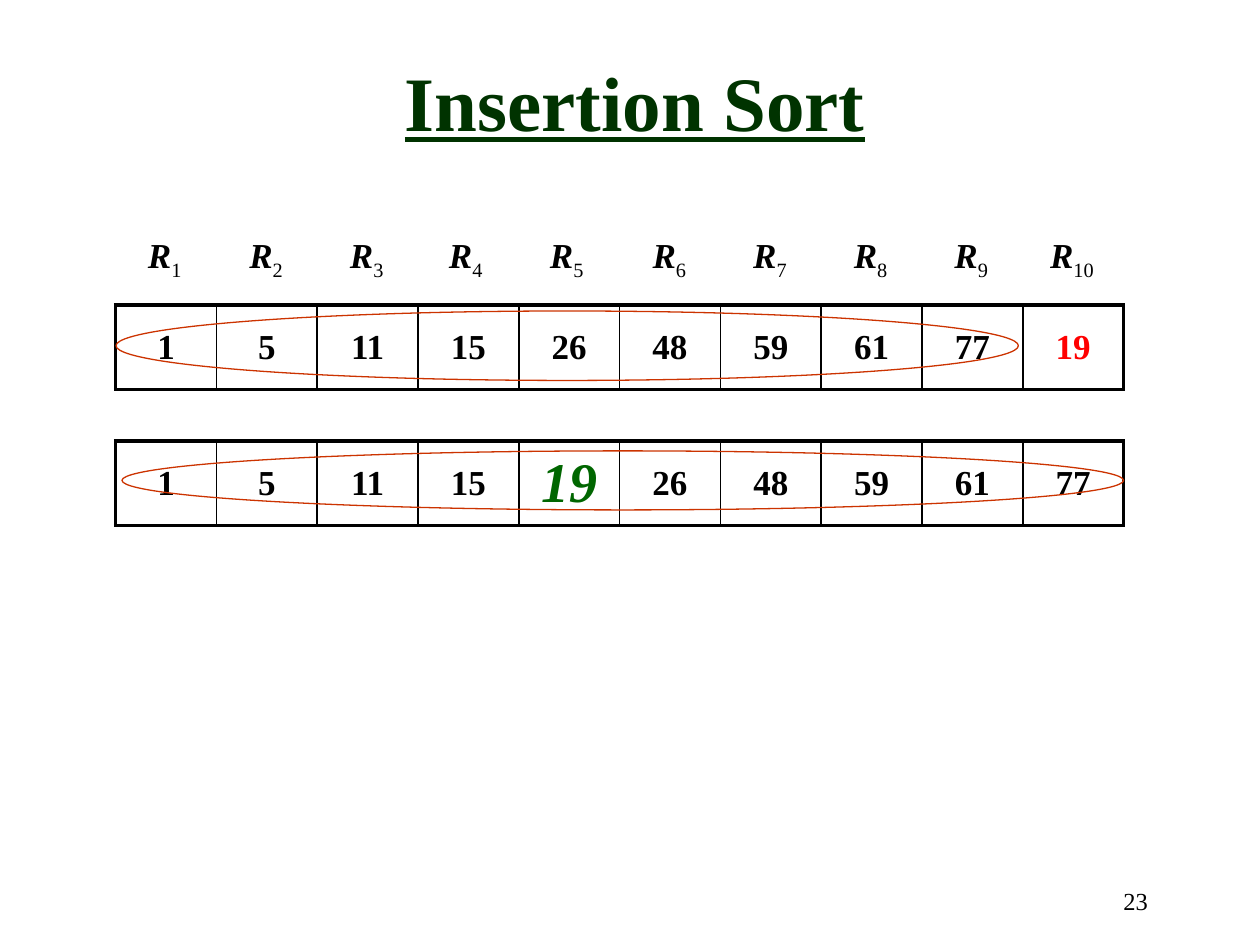
from lxml import etree
from pptx import Presentation
from pptx import util as u
from pptx.dml.color import RGBColor
from pptx.enum import shapes, text
from pptx.oxml import ns

COLORS = {
    "title": "003300",
    "ink": "000000",
    "next": "FF0000",
    "inserted": "006600",
    "ring": "CC3300",
}
FONT = "Times New Roman"
THIN, THICK = 1, 2.25
TABLE_LEFT, TABLE_WIDTH, ROW_HEIGHT = 2.33, 20.32, 1.7
LABEL_WIDTHS = [2.06, 2.03, 2.03, 1.96, 2.11, 2.03, 2.03, 2.03, 2.03, 2.03]


def style_font(font, size, color="ink", bold=False, italic=False):
    font.name = FONT
    font.size = u.Pt(size)
    font.bold = bold
    font.italic = italic
    font.color.rgb = RGBColor.from_string(COLORS[color])


def set_borders(cell, widths):
    """Draw the left, right, top and bottom borders; width 0 means none."""
    properties = cell._tc.get_or_add_tcPr()
    for side, width in zip("LRTB", widths):
        line = etree.SubElement(properties, ns.qn(f"a:ln{side}"), w=str(u.Pt(width)))
        if width:
            fill = etree.SubElement(line, ns.qn("a:solidFill"))
            etree.SubElement(fill, ns.qn("a:srgbClr"), val=COLORS["ink"])
        else:
            etree.SubElement(line, ns.qn("a:noFill"))


def add_row(slide, left, top, widths, height):
    """Add a plain one-row table and return its cells."""
    frame = slide.shapes.add_table(
        1, len(widths), u.Cm(left), u.Cm(top), u.Cm(sum(widths)), u.Cm(height))
    table = frame.table
    table.first_row = table.horz_banding = False
    for column, width in zip(table.columns, widths):
        column.width = u.Cm(width)
    cells = list(table.rows[0].cells)
    for cell in cells:
        cell.vertical_anchor = text.MSO_ANCHOR.MIDDLE
        cell.text_frame.paragraphs[0].alignment = text.PP_ALIGN.CENTER
    return cells


def add_records(slide, top, values, special, **special_style):
    """Add the array of values, with one cell styled differently."""
    count = len(values)
    cells = add_row(slide, TABLE_LEFT, top, [TABLE_WIDTH / count] * count, ROW_HEIGHT)
    for index, (cell, value) in enumerate(zip(cells, values)):
        left = THICK if index == 0 else THIN
        right = THICK if index == count - 1 else THIN
        set_borders(cell, [left, right, THICK, THICK])
        cell.fill.background()
        paragraph = cell.text_frame.paragraphs[0]
        paragraph.add_run().text = str(value)
        style = {"size": 20, "bold": True}
        if index == special:
            style.update(special_style)
        style_font(paragraph.font, **style)


def add_labels(slide):
    """Add the record names R1 to R10 with subscript numbers."""
    cells = add_row(slide, 2.29, 4.32, LABEL_WIDTHS, 1.83)
    for number, cell in enumerate(cells, start=1):
        set_borders(cell, [0] * 4)
        cell.fill.background()
        paragraph = cell.text_frame.paragraphs[0]
        letter, subscript = paragraph.add_run(), paragraph.add_run()
        letter.text, subscript.text = "R", str(number)
        style_font(letter.font, 20, bold=True, italic=True)
        style_font(subscript.font, 20)
        subscript._r.get_or_add_rPr().set("baseline", "-25000")


def add_ring(slide, left, top, width, height):
    ring = slide.shapes.add_shape(
        shapes.MSO_SHAPE.OVAL, u.Cm(left), u.Cm(top), u.Cm(width), u.Cm(height))
    ring.shadow.inherit = False
    ring.fill.background()
    ring.line.color.rgb = RGBColor.from_string(COLORS["ring"])
    ring.line.width = u.Pt(0.75)


def add_title(slide, wording):
    title = slide.shapes.title
    title.left, title.top = u.Cm(1.9), u.Cm(0.43)
    title.width, title.height = u.Cm(21.8), u.Cm(3.18)
    title.text_frame.text = wording
    title.text_frame.vertical_anchor = text.MSO_ANCHOR.MIDDLE
    paragraph = title.text_frame.paragraphs[0]
    paragraph.alignment = text.PP_ALIGN.CENTER
    style_font(paragraph.font, 44, "title", bold=True)
    paragraph.font.underline = True


def add_page_number(slide, number):
    box = slide.shapes.add_textbox(u.Cm(18.11), u.Cm(17.73), u.Cm(5.28), u.Cm(1.27))
    box.text_frame.word_wrap = True
    paragraph = box.text_frame.paragraphs[0]
    paragraph.add_run().text = str(number)
    paragraph.alignment = text.PP_ALIGN.RIGHT
    style_font(paragraph.font, 14)


def main():
    presentation = Presentation()
    presentation.slide_width, presentation.slide_height = u.Cm(25.4), u.Cm(19.05)
    slide = presentation.slides.add_slide(presentation.slide_layouts[5])
    add_page_number(slide, 23)
    add_title(slide, "Insertion Sort")

    # Array after and before the last record is inserted
    before = [1, 5, 11, 15, 26, 48, 59, 61, 77, 19]
    after = sorted(before)
    add_records(slide, 8.89, after, after.index(19),
                size=32, color="inserted", italic=True)
    add_records(slide, 6.15, before, before.index(19), color="next")
    add_labels(slide)

    # Rings around the sorted parts
    add_ring(slide, 2.34, 6.27, 18.19, 1.4)
    add_ring(slide, 2.46, 9.09, 20.19, 1.19)

    presentation.save("out.pptx")


if __name__ == "__main__":
    main()
